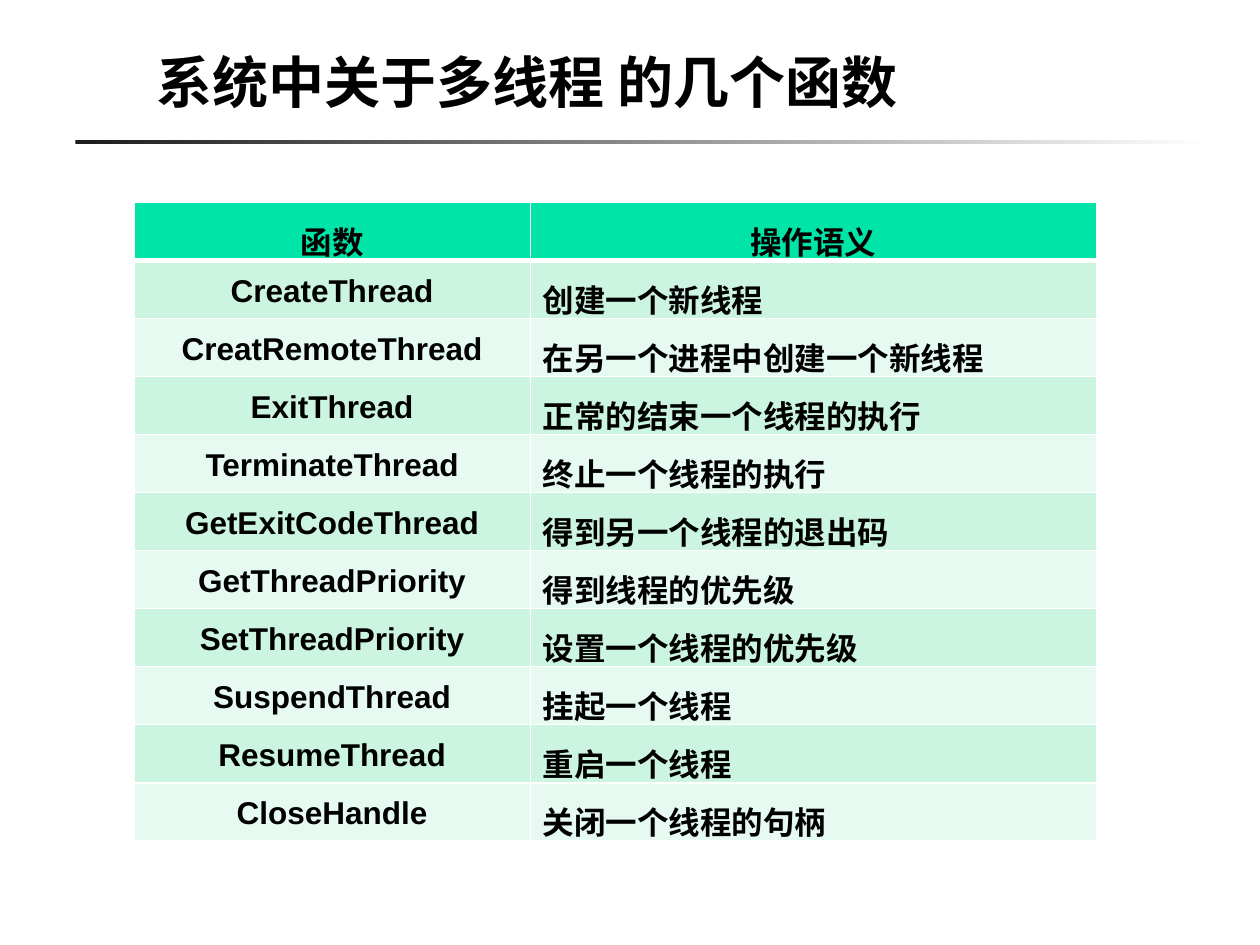
import pptx
import pptx.util
import pptx.oxml
import pptx.oxml.ns
import pptx.dml.color
import pptx.enum.shapes
import pptx.enum.text
from pptx.util import Cm, Pt

TITLE = "系统中关于多线程 的几个函数"
HEADER = ("函数", "操作语义")
FUNCTIONS = [
    ("CreateThread", "创建一个新线程"),
    ("CreatRemoteThread", "在另一个进程中创建一个新线程"),
    ("ExitThread", "正常的结束一个线程的执行"),
    ("TerminateThread", "终止一个线程的执行"),
    ("GetExitCodeThread", "得到另一个线程的退出码"),
    ("GetThreadPriority", "得到线程的优先级"),
    ("SetThreadPriority", "设置一个线程的优先级"),
    ("SuspendThread", "挂起一个线程"),
    ("ResumeThread", "重启一个线程"),
    ("CloseHandle", "关闭一个线程的句柄"),
]
COLORS = {
    "text": "000000",
    "rule_start": "1C1C1C",
    "white": "FFFFFF",
    "header": "00E4A8",
    "odd": "CCF5E1",
    "even": "E7FAF1",
}
LATIN_FONT = "Arial"
CHINESE_FONT = "Noto Sans CJK SC"
COLUMN_WIDTHS = (7.99, 11.41)
ROW_HEIGHT = 1.17


def color(name):
    return pptx.dml.color.RGBColor.from_string(COLORS[name])


def format_runs(paragraph, size, latin_font):
    for run in paragraph.runs:
        run.font.size = Pt(size)
        run.font.bold = True
        run.font.name = latin_font
        run.font.color.rgb = color("text")
        east_asian = pptx.oxml.parse_xml(
            f'<a:ea {pptx.oxml.ns.nsdecls("a")} typeface="{CHINESE_FONT}"/>')
        run.font._element.find(pptx.oxml.ns.qn("a:latin")).addnext(east_asian)


def add_rule(slide):
    rule = slide.shapes.add_shape(
        pptx.enum.shapes.MSO_SHAPE.RECTANGLE, Cm(1.52), Cm(2.82), Cm(22.86), Cm(0.08))
    rule.shadow.inherit = False
    rule.line.fill.background()
    rule.fill.gradient()
    rule.fill.gradient_angle = 0
    for stop, position, name in zip(rule.fill.gradient_stops, (0, 1), ("rule_start", "white")):
        stop.position = position
        stop.color.rgb = color(name)


def add_title(slide):
    title = slide.shapes.title
    title.left, title.top, title.width, title.height = Cm(2.9), Cm(0.69), Cm(19.89), Cm(1.63)
    frame = title.text_frame
    frame.text = TITLE
    frame.margin_top = frame.margin_bottom = 0
    frame.vertical_anchor = pptx.enum.text.MSO_ANCHOR.BOTTOM
    frame.auto_size = pptx.enum.text.MSO_AUTO_SIZE.SHAPE_TO_FIT_TEXT
    frame.paragraphs[0].alignment = pptx.enum.text.PP_ALIGN.LEFT
    format_runs(frame.paragraphs[0], 32, CHINESE_FONT)


def set_borders(cell, widths):
    properties = cell._tc.get_or_add_tcPr()
    for index, (side, width) in enumerate(widths.items()):
        properties.insert(index, pptx.oxml.parse_xml(
            f'<a:{side} {pptx.oxml.ns.nsdecls("a")} w="{Pt(width)}"><a:solidFill>'
            f'<a:srgbClr val="{COLORS["white"]}"/></a:solidFill></a:{side}>'))


def add_function_table(slide):
    rows = [HEADER, *FUNCTIONS]
    table = slide.shapes.add_table(
        len(rows), len(HEADER), Cm(2.7), Cm(4.08),
        Cm(sum(COLUMN_WIDTHS)), Cm(ROW_HEIGHT * len(rows))).table
    for column, width in zip(table.columns, COLUMN_WIDTHS):
        column.width = Cm(width)
    for row_index, texts in enumerate(rows):
        table.rows[row_index].height = Cm(ROW_HEIGHT)
        fill = "header" if row_index == 0 else ("even", "odd")[row_index % 2]
        borders = {"lnL": 1, "lnR": 1,
                   "lnT": 3 if row_index == 1 else 1,
                   "lnB": 3 if row_index == 0 else 1}
        for column_index, text in enumerate(texts):
            cell = table.cell(row_index, column_index)
            cell.fill.solid()
            cell.fill.fore_color.rgb = color(fill)
            set_borders(cell, borders)
            cell.text_frame.text = text
            paragraph = cell.text_frame.paragraphs[0]
            paragraph.line_spacing = 1.2
            centered = row_index == 0 or column_index == 0
            paragraph.alignment = (pptx.enum.text.PP_ALIGN.CENTER if centered
                                   else pptx.enum.text.PP_ALIGN.LEFT)
            format_runs(paragraph, 18, LATIN_FONT)


def main():
    presentation = pptx.Presentation()
    presentation.slide_width, presentation.slide_height = Cm(25.4), Cm(19.05)
    slide = presentation.slides.add_slide(presentation.slide_layouts[5])
    add_rule(slide)
    add_title(slide)
    add_function_table(slide)
    presentation.save("out.pptx")


if __name__ == "__main__":
    main()
